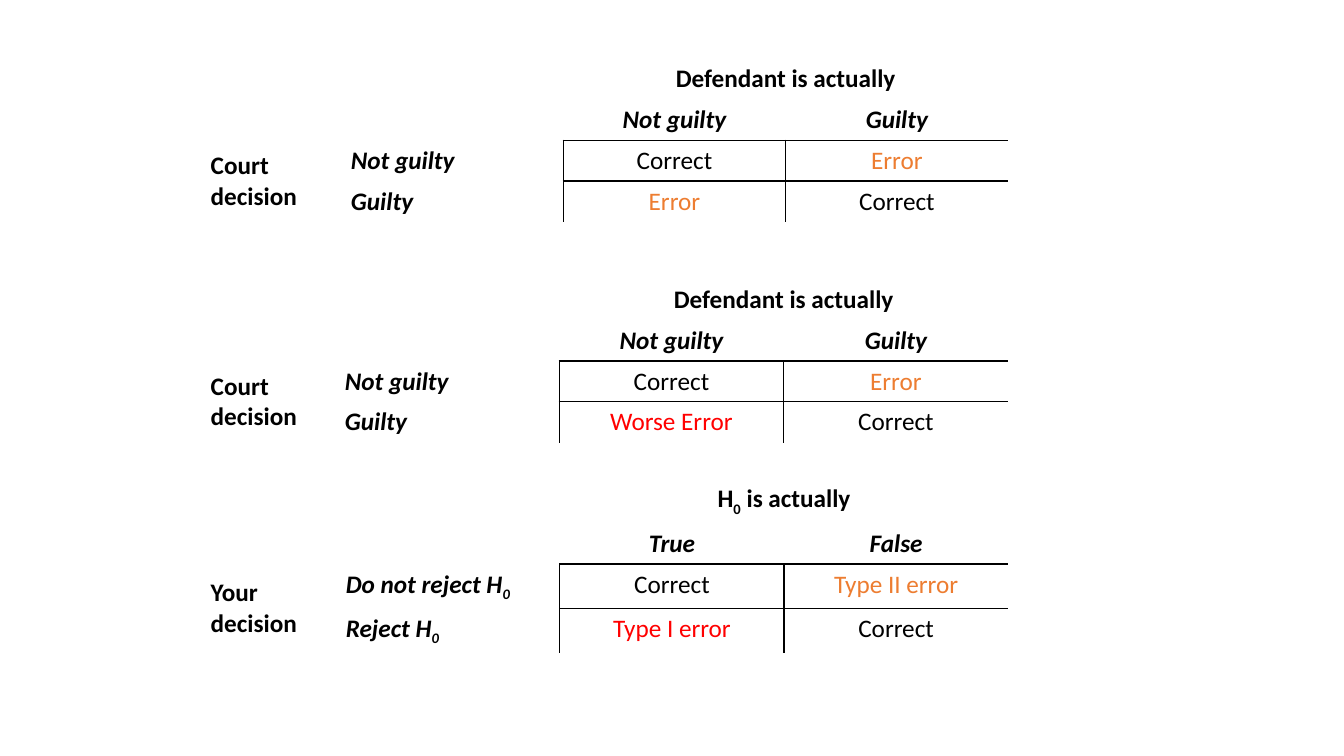
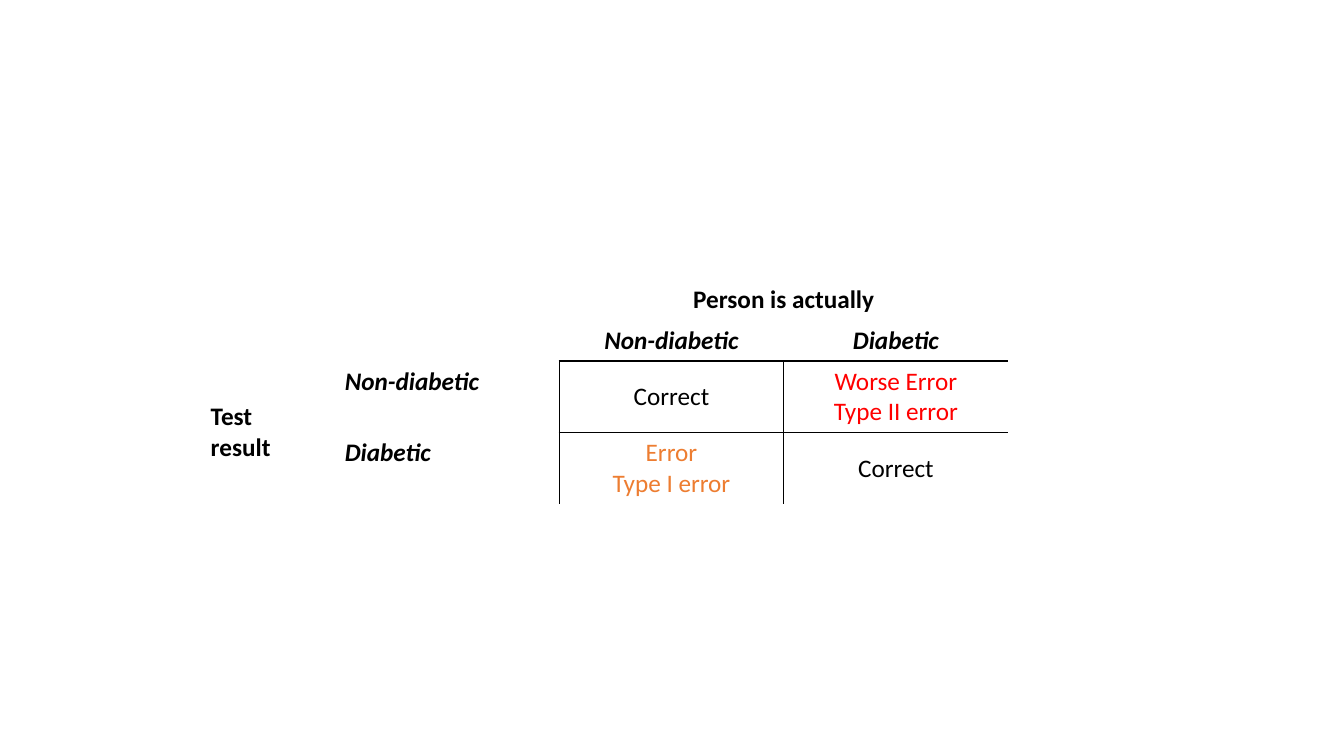
from dataclasses import dataclass

from lxml.etree import SubElement as sub
from pptx import Presentation
from pptx.dml.color import RGBColor as Rgb
from pptx.enum.text import MSO_ANCHOR as Anchor, PP_ALIGN as Align
from pptx.oxml.ns import qn
from pptx.util import Inches, Pt

COLORS = {"text": "000000", "error": "ED7D31", "worse": "FF0000"}
FONT = {"name": "Calibri", "size": Pt(18)}
STYLES = {
    "heading": {"bold": True, "italic": False},
    "label": {"bold": True, "italic": True},
    "outcome": {"bold": False, "italic": False},
}
NO_TABLE_STYLE = "{2D5ABB26-0587-4C30-8999-92F81FD0307C}"
ROW_HEIGHT = Inches(1.62) // 4


@dataclass
class Box:
    left: float
    top: float
    width: float
    height: float


@dataclass
class Matrix:
    box: Box
    side_width: float
    truth: str
    truths: tuple
    decision: str
    decisions: tuple
    errors: tuple
    outcome_anchor: Anchor = Anchor.TOP


COURT = {
    "truth": "Defendant is actually",
    "truths": ("Not guilty", "Guilty"),
    "decision": "Court decision",
    "decisions": ("Not guilty", "Guilty"),
}
SLIDES = [
    [
        Matrix(Box(1.99, 0.58, 8.01, 1.62), 1.39, **COURT,
               errors=(("Error", "error"), ("Error", "error"))),
        Matrix(Box(1.99, 2.77, 8.01, 1.62), 1.33, **COURT,
               errors=(("Error", "error"), ("Worse Error", "worse"))),
        Matrix(Box(1.99, 4.75, 8.01, 1.62), 1.34,
               "H_0 is actually", ("True", "False"),
               "Your decision", ("Do not reject H_0", "Reject H_0"),
               (("Type II error", "error"), ("Type I error", "worse"))),
    ],
    [
        Matrix(Box(1.99, 2.77, 8.01, 2.21), 1.33,
               "Person is actually", ("Non-diabetic", "Diabetic"),
               "Test\nresult", ("Non-diabetic", "Diabetic"),
               (("Worse Error\nType II error", "worse"),
                ("Error\nType I error", "error")),
               Anchor.MIDDLE),
    ],
]


def add_span(para, text, style, color, subscript=False):
    span = para.add_run()
    span.text = text
    for name, value in {**FONT, **STYLES[style]}.items():
        setattr(span.font, name, value)
    span.font.color.rgb = Rgb.from_string(COLORS[color])
    if subscript:
        span.font._element.set("baseline", "-25000")


def write(cell, text, style, color="text", align=Align.CENTER, anchor=Anchor.TOP):
    cell.vertical_anchor = anchor
    frame = cell.text_frame
    for index, line in enumerate(text.split("\n")):
        para = frame.add_paragraph() if index else frame.paragraphs[0]
        para.alignment = align
        before, mark, after = line.partition("_")
        add_span(para, before, style, color)
        if mark:
            add_span(para, after[0], style, color, subscript=True)
            if after[1:]:
                add_span(para, after[1:], style, color)


def draw_borders(cell, row, column):
    sides = {
        "L": row >= 2 and column == 2,
        "R": row >= 2 and column == 1,
        "T": row == 2 and column >= 2,
        "B": row == 1 and column >= 2,
    }
    props = cell._tc.get_or_add_tcPr()
    for side, drawn in sides.items():
        if drawn:
            line = sub(props, qn(f"a:ln{side}"), w=str(Pt(1)))
            fill = sub(line, qn("a:solidFill"))
            sub(fill, qn("a:srgbClr"), val=COLORS["text"])


def add_grid(page, box, side_width):
    bounds = [Inches(n) for n in (box.left, box.top, box.width, box.height)]
    table = page.shapes.add_table(4, 4, *bounds).table
    table.first_row = table.horz_banding = False
    table._tbl.tblPr.find(qn("a:tableStyleId")).text = NO_TABLE_STYLE
    outcome_height = (Inches(box.height) - 2 * ROW_HEIGHT) // 2
    column_width = Inches((box.width - side_width) / 3)
    for index in range(4):
        table.rows[index].height = ROW_HEIGHT if index < 2 else outcome_height
        table.columns[index].width = column_width if index else Inches(side_width)
        for column in range(4):
            cell = table.cell(index, column)
            draw_borders(cell, index, column)
            cell.fill.background()
    table.cell(0, 2).merge(table.cell(0, 3))
    table.cell(2, 0).merge(table.cell(3, 0))
    return table


def add_matrix(page, matrix):
    table = add_grid(page, matrix.box, matrix.side_width)
    write(table.cell(0, 2), matrix.truth, "heading")
    write(table.cell(2, 0), matrix.decision, "heading",
          align=Align.LEFT, anchor=Anchor.MIDDLE)
    for index in range(2):
        write(table.cell(1, 2 + index), matrix.truths[index], "label")
        write(table.cell(2 + index, 1), matrix.decisions[index], "label",
              align=Align.LEFT)
        write(table.cell(2 + index, 2 + index), "Correct", "outcome",
              anchor=matrix.outcome_anchor)
        text, color = matrix.errors[index]
        write(table.cell(2 + index, 3 - index), text, "outcome", color,
              anchor=matrix.outcome_anchor)


def main():
    deck = Presentation()
    deck.slide_width, deck.slide_height = Inches(13.33), Inches(7.5)
    blank = deck.slide_layouts[6]
    for matrices in SLIDES:
        page = deck.slides.add_slide(blank)
        for matrix in matrices:
            add_matrix(page, matrix)
    deck.save("out.pptx")


if __name__ == "__main__":
    main()
